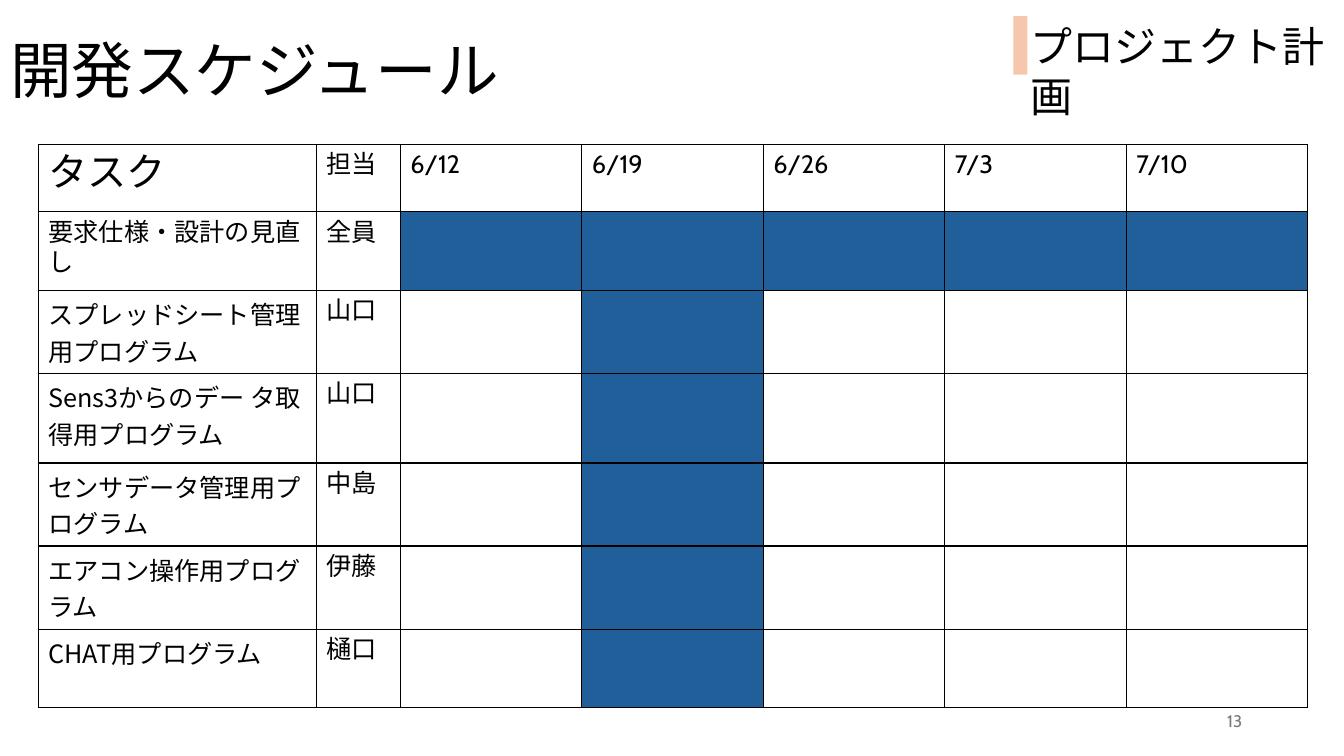
from lxml import etree
from pptx import Presentation
from pptx.dml.color import RGBColor
from pptx.enum.lang import MSO_LANGUAGE_ID
from pptx.enum.shapes import MSO_SHAPE
from pptx.enum.text import MSO_ANCHOR, MSO_AUTO_SIZE, PP_ALIGN
from pptx.oxml.ns import qn
from pptx.util import Inches, Pt

JAPANESE = MSO_LANGUAGE_ID.JAPANESE
RECTANGLE = MSO_SHAPE.RECTANGLE
MIDDLE, TOP = MSO_ANCHOR.MIDDLE, MSO_ANCHOR.TOP
LEFT, RIGHT = PP_ALIGN.LEFT, PP_ALIGN.RIGHT
NO_AUTOFIT = MSO_AUTO_SIZE.NONE

BLACK = RGBColor(0x00, 0x00, 0x00)
WHITE = RGBColor(0xFF, 0xFF, 0xFF)
GRAY = RGBColor(0x79, 0x79, 0x79)
BLUE = RGBColor(0x21, 0x5F, 0x9A)
PEACH = RGBColor(0xF6, 0xC6, 0xAD)

MAIN_FONT = "Cabin"
TASK_FONT = "Noto Sans CJK JP"

HEADERS = ["タスク", "担当", "6/12", "6/19", "6/26", "7/3", "7/10"]
# Task, person in charge, font of the task, busy weeks
TASKS = [
    ("要求仕様・設計の見直し", "全員", MAIN_FONT, range(5)),
    ("スプレッドシート管理用プログラム", "山口", TASK_FONT, [1]),
    ("Sens3からのデー タ取得用プログラム", "山口", TASK_FONT, [1]),
    ("センサデータ管理用プログラム", "中島", TASK_FONT, [1]),
    ("エアコン操作用プログラム", "伊藤", TASK_FONT, [1]),
    ("CHAT用プログラム", "樋口", TASK_FONT, [1]),
]
COLUMN_WIDTHS = [2.76, 0.83] + [1.8] * 5
ROW_HEIGHTS = [0.67, 0.78, 0.78, 0.89, 0.78, 0.78, 0.78]


def write(frame, text, size, color=BLACK, font=MAIN_FONT, align=LEFT):
    paragraph = frame.paragraphs[0]
    paragraph.alignment = align
    run = paragraph.add_run()
    run.text = text
    run.font.size = Pt(size)
    run.font.name = font
    run.font.color.rgb = color
    run.font.language_id = JAPANESE
    latin = run.font._element.find(qn("a:latin"))
    east_asian = etree.Element(qn("a:ea"), typeface=font)
    latin.addnext(east_asian)
    return paragraph


def add_title(slide, text):
    title = slide.shapes.title
    title.left, title.top = Inches(0), Inches(0)
    title.width, title.height = Inches(11.5), Inches(1.45)
    frame = title.text_frame
    frame.auto_size = NO_AUTOFIT
    frame.vertical_anchor = MIDDLE
    write(frame, text, 44).line_spacing = 0.9


def add_label(slide, text, left, top, width, height, size,
              color=BLACK, align=LEFT, anchor=TOP):
    label = slide.shapes.add_textbox(
        Inches(left), Inches(top), Inches(width), Inches(height))
    frame = label.text_frame
    frame.word_wrap = True
    frame.vertical_anchor = anchor
    write(frame, text, size, color, align=align)


def add_accent_bar(slide):
    bar = slide.shapes.add_shape(
        RECTANGLE, Inches(10.05), Inches(0.16), Inches(0.14), Inches(0.58))
    bar.shadow.inherit = False
    bar.fill.solid()
    bar.fill.fore_color.rgb = PEACH
    bar.line.fill.background()


def format_cell(cell, fill):
    """Draw the cell's four borders, then its fill, in schema order."""
    properties = cell._tc.get_or_add_tcPr()
    for side in ("a:lnL", "a:lnR", "a:lnT", "a:lnB"):
        border = etree.SubElement(properties, qn(side), w=str(Pt(1)))
        solid = etree.SubElement(border, qn("a:solidFill"))
        etree.SubElement(solid, qn("a:srgbClr"), val=str(BLACK))
    cell.fill.solid()
    cell.fill.fore_color.rgb = fill


def add_schedule(slide):
    table = slide.shapes.add_table(
        len(ROW_HEIGHTS), len(COLUMN_WIDTHS), Inches(0.38), Inches(1.43),
        Inches(sum(COLUMN_WIDTHS)), Inches(sum(ROW_HEIGHTS))).table
    table.first_row = False
    table.horz_banding = False
    for column, width in zip(table.columns, COLUMN_WIDTHS):
        column.width = Inches(width)
    for row, height in zip(table.rows, ROW_HEIGHTS):
        row.height = Inches(height)

    for index, header in enumerate(HEADERS):
        cell = table.cell(0, index)
        format_cell(cell, WHITE)
        write(cell.text_frame, header, 28 if index == 0 else 18)

    for row, (task, person, font, busy_weeks) in enumerate(TASKS, start=1):
        for column in range(len(HEADERS)):
            busy = column - 2 in busy_weeks
            format_cell(table.cell(row, column), BLUE if busy else WHITE)
        write(table.cell(row, 0).text_frame, task, 18, font=font)
        write(table.cell(row, 1).text_frame, person, 18)


def main():
    presentation = Presentation()
    presentation.slide_width = Inches(13.33)
    presentation.slide_height = Inches(7.5)
    title_only = presentation.slide_layouts[5]
    slide = presentation.slides.add_slide(title_only)

    add_title(slide, "開発スケジュール")
    add_schedule(slide)
    add_label(slide, "13", 9.42, 6.95, 3, 0.4, 12, GRAY, RIGHT, MIDDLE)
    add_label(slide, "プロジェクト計画", 10.12, 0.15, 3.21, 0.61, 30)
    add_accent_bar(slide)
    presentation.save("out.pptx")


if __name__ == "__main__":
    main()
